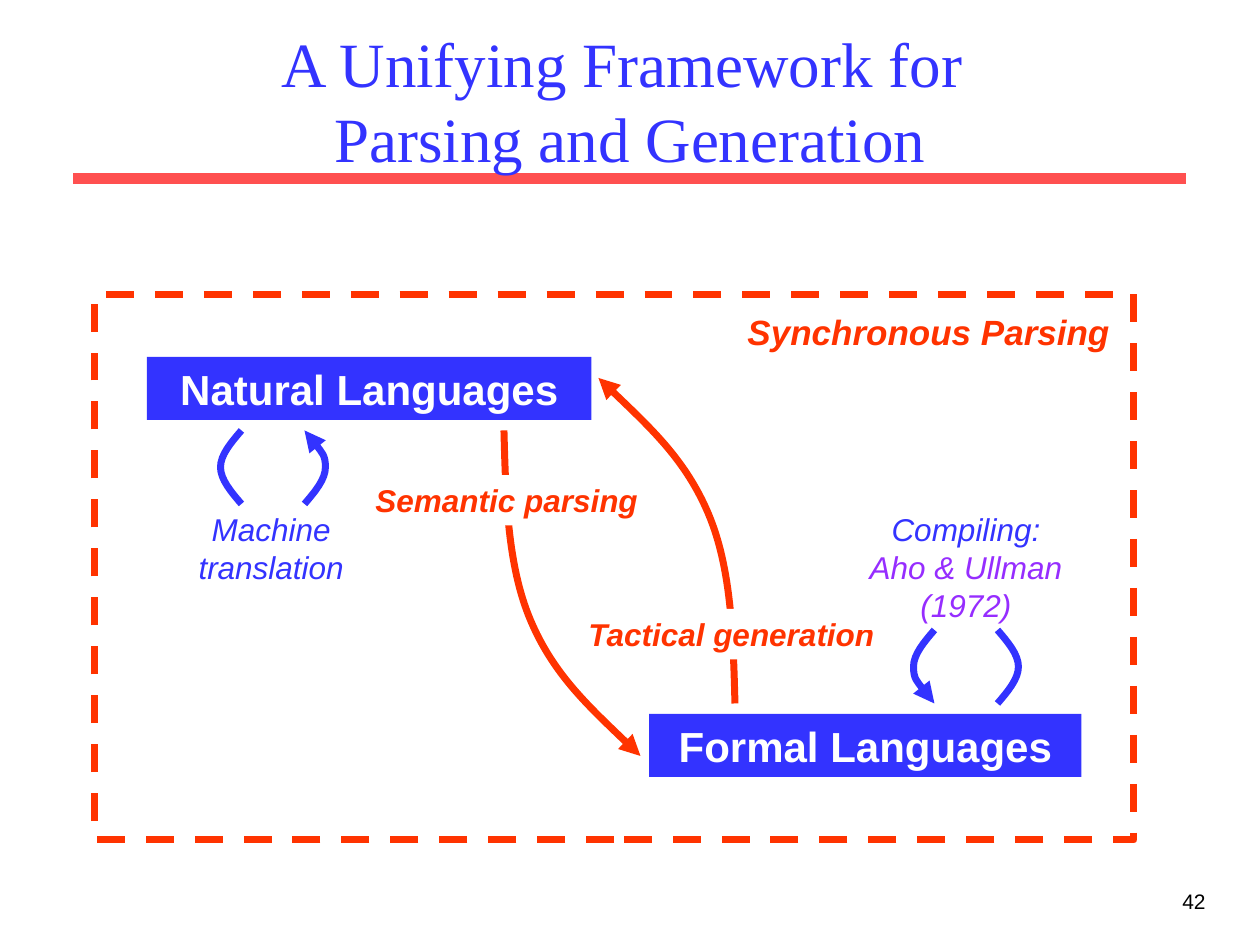
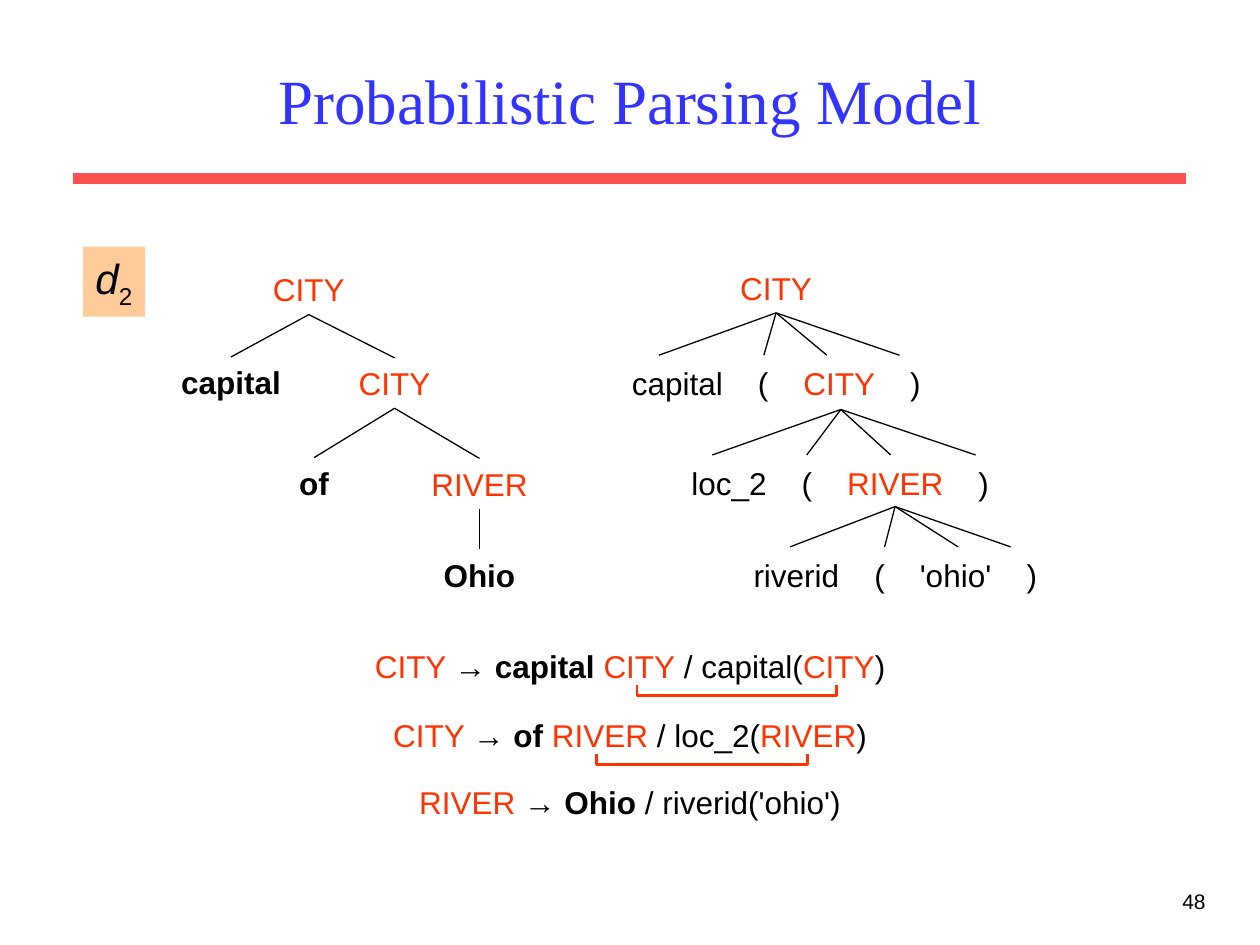
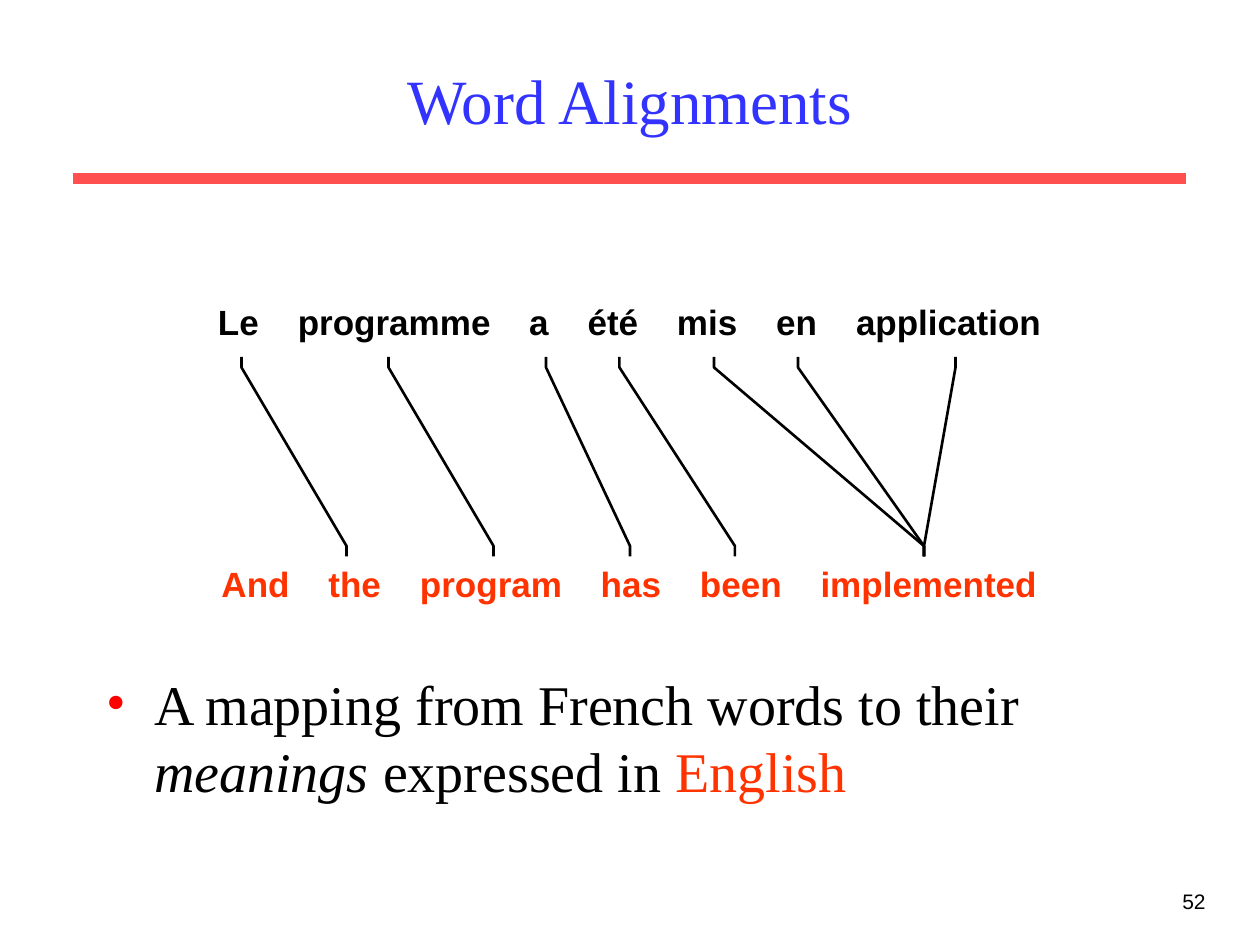
from lxml.etree import SubElement
from pptx import Presentation
from pptx.dml.color import RGBColor
from pptx.enum.dml import MSO_LINE
from pptx.enum.shapes import MSO_CONNECTOR, MSO_SHAPE
from pptx.enum.text import MSO_ANCHOR, PP_ALIGN
from pptx.oxml.ns import qn
from pptx.util import Pt

BLUE, RED, BAND, PURPLE = "3333FF", "FF3300", "FF5050", "962DFF"
BLACK, WHITE, PEACH, BULLET = "000000", "FFFFFF", "FFCC99", "FF0000"
SANS = {"name": "Arial", "size": Pt(18), "color": BLACK}
SERIF = {"name": "Times New Roman", "size": Pt(36), "color": BLUE}
KEY = {"color": RED}
BOLD = {"bold": True}
LABEL_H = 28.8


def rgb(value):
    return RGBColor.from_string(value)


def style_font(font, fmt):
    for key, value in fmt.items():
        if key == "color":
            font.color.rgb = rgb(value)
        else:
            setattr(font, key, value)


def style_line(line, color, width):
    line.color.rgb = rgb(color)
    line.width = Pt(width)


def text(s, x, y, w, h, paras, fmt=SANS, align=PP_ALIGN.CENTER,
         anchor=MSO_ANCHOR.TOP, wrap=False, fill=None, tabs=()):
    """Each paragraph is a string or a list of strings and (string, format) runs."""
    if fill:
        sp = s.shapes.add_shape(MSO_SHAPE.RECTANGLE, Pt(x), Pt(y), Pt(w), Pt(h))
        sp.shadow.inherit = False
        sp.fill.solid()
        sp.fill.fore_color.rgb = rgb(fill)
        sp.line.fill.background()
    else:
        sp = s.shapes.add_textbox(Pt(x), Pt(y), Pt(w), Pt(h))
    tf = sp.text_frame
    tf.word_wrap = wrap or bool(tabs)
    tf.vertical_anchor = anchor
    if tabs:
        tf.margin_right = 0
    for i, para in enumerate(paras):
        p = tf.add_paragraph() if i else tf.paragraphs[0]
        p.alignment = align
        if tabs:
            stops = SubElement(p._p.get_or_add_pPr(), qn("a:tabLst"))
            for stop in tabs:
                SubElement(stops, qn("a:tab"), pos=str(Pt(stop)), algn="l")
        for part in [para] if isinstance(para, str) else para:
            if part == "\n":
                p.add_line_break()
                continue
            words, extra = (part, {}) if isinstance(part, str) else part
            r = p.add_run()
            r.text = words
            style_font(r.font, {**fmt, **extra})
    return sp


def segment(s, x1, y1, x2, y2, color=BLACK, width=0.75):
    c = s.shapes.add_connector(MSO_CONNECTOR.STRAIGHT, Pt(x1), Pt(y1), Pt(x2), Pt(y2))
    style_line(c.line, color, width)
    SubElement(c._element.spPr, qn("a:effectLst"))
    return c


def polyline(s, points, color, width):
    first, *rest = [(Pt(px), Pt(py)) for px, py in points]
    builder = s.shapes.build_freeform(*first)
    builder.add_line_segments(rest, close=False)
    sp = builder.convert_to_shape()
    sp.shadow.inherit = False
    sp.fill.background()
    style_line(sp.line, color, width)
    return sp


def curve(s, points, color, arrow=None):
    """Cubic curve: a start, then groups of two controls and an end."""
    sp = polyline(s, points, color, 4)
    outline = sp._element.spPr.find(".//" + qn("a:path"))
    steps = outline.findall(qn("a:lnTo"))
    for i in range(0, len(steps), 3):
        bezier = SubElement(outline, qn("a:cubicBezTo"))
        for step in steps[i:i + 3]:
            bezier.append(step[0])
            outline.remove(step)
    if arrow:
        SubElement(sp.line._get_or_add_ln(), qn("a:" + arrow), type="triangle")


def base_slide(prs, title, number):
    s = prs.slides.add_slide(prs.slide_layouts[6])
    segment(s, 42, 102, 678, 102, BAND, 6)
    text(s, 546, 504, 150, 36, [number], {**SANS, "size": Pt(12)},
         PP_ALIGN.RIGHT, wrap=True)
    text(s, 54, 18, 612, 78, [title], SERIF, anchor=MSO_ANCHOR.MIDDLE, wrap=True)
    return s


# Framework diagram
def arc(s, x, y, bulge, arrow=None):
    offsets = [(0, 0), (0.5, 7), (1, 14), (1, 21), (1, 28), (0.5, 35), (0, 42)]
    curve(s, [(x + bulge * dx, y + dy) for dx, dy in offsets], BLUE, arrow)


def framework(s, x, y, w, h):
    # Language boxes
    heading = {**SANS, "size": Pt(24), "color": WHITE, "bold": True}
    text(s, x + 30, y + 36, 254, 36, ["Natural Languages"], heading, fill=BLUE)
    text(s, x + 317, y + 240, 247, 36, ["Formal Languages"], heading, fill=BLUE)

    # Two curves, each the other turned by half a circle
    down = [(234, 78), (235, 116), (236, 155), (249, 186),
            (262, 217), (287, 240), (312, 264)]
    up = [(600 - px, 312 - py) for px, py in down]
    strong = {**SANS, "color": RED, "bold": True, "italic": True}
    for points, name, lx, ly, lw in ((down, "Semantic parsing", 153, 103.5, 165),
                                     (up, "Tactical generation", 274, 180, 180)):
        curve(s, [(x + px, y + py) for px, py in points], RED, "tailEnd")
        text(s, x + lx, y + ly, lw, LABEL_H, [name], strong, fill=WHITE)

    # Loops within one kind of language
    soft = {**SANS, "color": BLUE, "italic": True}
    cited = {"color": PURPLE}
    text(s, x + 52.5, y + 120, 97, 50, ["Machine", "translation"], soft, fill=WHITE)
    text(s, x + 435.5, y + 120, 125, 72,
         ["Compiling:", [("Aho & Ullman", cited)], [("(1972)", cited)]],
         soft, fill=WHITE)
    arc(s, x + 84, y + 78, -12)
    arc(s, x + 120, y + 78, 12, "headEnd")
    arc(s, x + 516, y + 192, 12)
    arc(s, x + 480, y + 192, -12, "tailEnd")

    # Dashed frame and its name
    frame = s.shapes.add_shape(MSO_SHAPE.RECTANGLE, Pt(x), Pt(y), Pt(w), Pt(h))
    frame.shadow.inherit = False
    frame.fill.background()
    style_line(frame.line, RED, 4)
    frame.line.dash_style = MSO_LINE.DASH
    text(s, x + w - 228, y + 6, 226, 32, ["Synchronous Parsing"],
         {**strong, "size": Pt(20)}, PP_ALIGN.LEFT, wrap=True)


# Derivation trees
def node(s, cx, y, word, extra):
    return text(s, cx - 36, y, 72, LABEL_H, [word], {**SANS, **extra})


def word_tree(s, x, y):
    places = {"root": (80.5, 1, "CITY", KEY), "capital": (36, 54, "capital", BOLD),
              "city": (129.5, 54.5, "CITY", KEY), "of": (83.5, 111.5, "of", BOLD),
              "river": (178, 112, "RIVER", KEY), "ohio": (178, 164, "Ohio", BOLD)}
    nodes = {key: node(s, x + cx, y + top, word, extra)
             for key, (cx, top, word, extra) in places.items()}
    for parent, child in (("root", "capital"), ("root", "city"), ("city", "of"),
                          ("city", "river"), ("river", "ohio")):
        c = segment(s, x, y, x, y)
        c.begin_connect(nodes[parent], 2)
        c.end_connect(nodes[child], 0)


def meaning_tree(s, x, y):
    root = node(s, x + 89.5, y, "CITY", KEY)
    rows = (
        (0, 54.5, 184, (72, 98, 159), ["capital\t(\t", ("CITY", KEY), "\t)"]),
        (34, 111.5, 189, (63, 89, 164), ["loc_2\t(\t", ("RIVER", KEY), "\t)"]),
        (69.5, 164, 182, (69, 95, 156), ["riverid\t(\t'ohio'\t)"]))
    for left, top, w, tabs, runs in rows:
        text(s, x + left, y + top, w, LABEL_H, [runs], align=PP_ALIGN.LEFT, tabs=tabs)
    fans = ((89.5, 29.5, 53, (22.5, 82.5, 118.5, 160), root),
            (126.5, 84, 110, (53, 107, 155, 203.5), None),
            (157.5, 139.5, 162.5, (97.5, 151.5, 193.5, 223.5), None))
    for ax, ay, bottom, ends, parent in fans:
        for end in ends:
            c = segment(s, x + ax, y + ay, x + end, y + bottom)
            if parent:
                c.begin_connect(parent, 2)


def rules(s, x, y, w):
    lines = (
        (0, [("CITY ", KEY), "→ ", ("capital ", BOLD), ("CITY", KEY),
             " / capital(", ("CITY", KEY), ")"], (164, 278)),
        (39.5, [("CITY ", KEY), "→ ", ("of ", BOLD), ("RIVER", KEY),
                " / loc_2(", ("RIVER", KEY), ")"], (141, 261.5)),
        (78, [("RIVER ", KEY), "→ ", ("Ohio ", BOLD), "/ riverid('ohio')"], None))
    for top, runs, link in lines:
        text(s, x, y + top, w, LABEL_H, [runs], wrap=True)
        if link:
            left, right = (x + edge for edge in link)
            high, low = y + top + 25.5, y + top + 31.5
            polyline(s, [(left, high), (left, low), (right, low), (right, high)],
                     RED, 1.5)


# Word alignment
def alignment(s, x, y):
    bold = {**SANS, **BOLD, "size": Pt(20)}
    sentences = (
        (2.5, 150, RED, "And the program has been implemented",
         (61.1, 113.4, 216.7, 273.4, 342.3)),
        (0.5, 0, BLACK, "Le programme a été mis en application",
         (45.6, 177.8, 211.2, 262.3, 319, 364.6)))
    for left, top, color, words, tabs in sentences:
        text(s, x + left, y + top, 490, 32, [words.replace(" ", "\t")],
             {**bold, "color": color}, PP_ALIGN.LEFT, tabs=tabs)
    french = (21, 105, 195, 237, 291, 339, 429)
    english = (81, 165, 243, 303, 411, 411, 411)
    for a, b in zip(french, english):
        polyline(s, [(x + a, y + 36), (x + a, y + 42),
                     (x + b, y + 144), (x + b, y + 150)], BLACK, 1.5)


def bullet(s, x, y, w, h, runs):
    sp = text(s, x, y, w, h, [runs], {**SERIF, "size": Pt(32), "color": BLACK},
              PP_ALIGN.LEFT, wrap=True)
    pPr = sp.text_frame.paragraphs[0]._p.get_or_add_pPr()
    pPr.set("marL", str(Pt(27)))
    pPr.set("indent", str(-Pt(27)))
    SubElement(SubElement(pPr, qn("a:buClr")), qn("a:srgbClr"), val=BULLET)
    SubElement(pPr, qn("a:buFont"), typeface=SERIF["name"])
    SubElement(pPr, qn("a:buChar"), char="•")


def main():
    prs = Presentation()
    prs.slide_width, prs.slide_height = Pt(720), Pt(540)

    s = base_slide(prs, ["A Unifying Framework for ", "\n", "Parsing and Generation"], "42")
    framework(s, 54, 168, 594, 312)

    s = base_slide(prs, "Probabilistic Parsing Model", "48")
    word_tree(s, 96, 150)
    meaning_tree(s, 354, 150)
    rules(s, 200, 366, 320)
    badge = text(s, 47.5, 141, 35.5, 40, [[("d", {"italic": True}), "2"]],
                 {**SANS, "size": Pt(24)}, PP_ALIGN.LEFT, fill=PEACH)
    subscript = badge.text_frame.paragraphs[0].runs[1]
    subscript.font._element.set("baseline", "-25000")

    s = base_slide(prs, "Word Alignments", "52")
    bullet(s, 54, 379, 612, 98.5,
           ["A mapping from French words to their ", ("meanings", {"italic": True}),
            " expressed in ", ("English", KEY)])
    alignment(s, 117, 168)

    prs.save("out.pptx")


if __name__ == "__main__":
    main()
